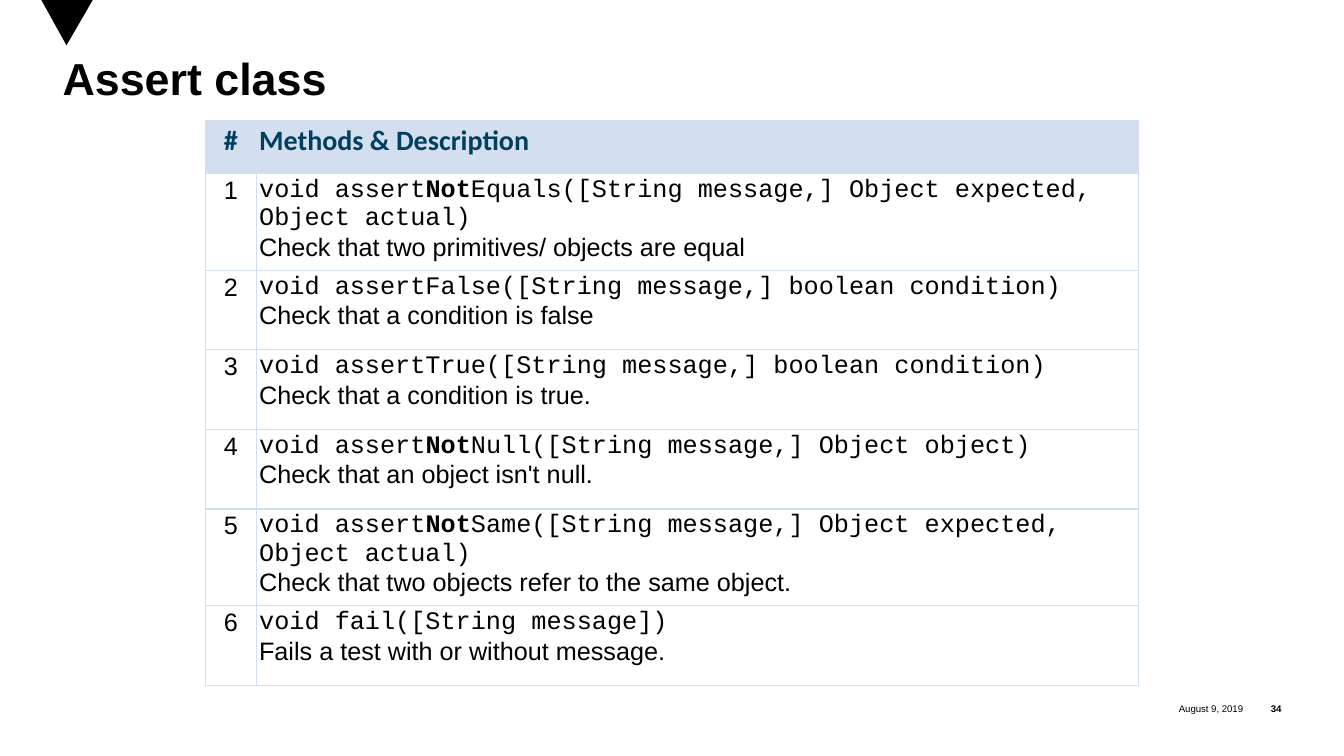
import lxml.etree
import pptx
import pptx.dml.color
import pptx.enum.text
import pptx.oxml.ns
import pptx.util

Inches = pptx.util.Inches
Align = pptx.enum.text.PP_ALIGN
Anchor = pptx.enum.text.MSO_ANCHOR

THEME = {
    "black": "000000", "navy": "003F60", "pale": "D3DFEE",
    "body": "Arial", "heading": "Calibri", "code": "Courier New",
    "title_size": 32, "heading_size": 20, "body_size": 18, "footer_size": 6.9,
}


def rgb(name):
    return pptx.dml.color.RGBColor.from_string(THEME[name])


def write(paragraph, text, font="body", size="body_size", color="black", bold=False, align=Align.LEFT):
    paragraph.alignment = align
    run = paragraph.add_run()
    run.text = text
    run.font.name = THEME[font]
    run.font.size = pptx.util.Pt(THEME[size])
    run.font.color.rgb = rgb(color)
    run.font.bold = bold


deck = pptx.Presentation()
deck.slide_width, deck.slide_height = Inches(13.33), Inches(7.5)
slide = deck.slides.add_slide(deck.slide_layouts[5])

outline = slide.shapes.build_freeform(Inches(0.41), 0)
outline.add_line_segments([(Inches(0.66), Inches(0.45)), (Inches(0.92), 0)], close=True)
marker = outline.convert_to_shape()
marker.shadow.inherit = False
marker.fill.solid()
marker.fill.fore_color.rgb = rgb("black")
marker.line.fill.background()

title = slide.shapes.title
title.left, title.top, title.width, title.height = map(Inches, (0.62, 0.58, 12.08, 1.29))
heading = title.text_frame
heading.margin_left = heading.margin_right = heading.margin_top = heading.margin_bottom = 0
heading.vertical_anchor = Anchor.TOP
heading.auto_size = pptx.enum.text.MSO_AUTO_SIZE.NONE
heading.paragraphs[0].line_spacing = 0.85
write(heading.paragraphs[0], "Assert class", size="title_size", bold=True)

for left, width, text, bold in [(10.84, 1.49, "August 9, 2019", False), (12.33, 0.38, "34", True)]:
    footer = slide.shapes.add_textbox(Inches(left), Inches(6.91), Inches(width), Inches(0.25)).text_frame
    footer.margin_left = footer.margin_right = footer.margin_top = footer.margin_bottom = 0
    footer.word_wrap = True
    footer.vertical_anchor = Anchor.MIDDLE
    write(footer.paragraphs[0], text, size="footer_size", bold=bold, align=Align.RIGHT)

methods = [
    ("void assertNotEquals([String message,] Object expected, Object actual)",
     "Check that two primitives/ objects are equal"),
    ("void assertFalse([String message,] boolean condition)", "Check that a condition is false"),
    ("void assertTrue([String message,] boolean condition)", "Check that a condition is true."),
    ("void assertNotNull([String message,] Object object)", "Check that an object isn't null."),
    ("void assertNotSame([String message,] Object expected, Object actual)",
     "Check that two objects refer to the same object."),
    ("void fail([String message])", "Fails a test with or without message."),
]

method_table = slide.shapes.add_table(
    len(methods) + 1, 2, Inches(2.04), Inches(1.2), Inches(9.25), Inches(5.26)).table
method_table.first_row = method_table.horz_banding = False
method_table.columns[0].width, method_table.columns[1].width = Inches(0.5), Inches(8.75)
for index, row in enumerate(method_table.rows):
    row.height = Inches(0.79 if index else 0.52)
    for cell in row.cells:
        cell.margin_left = cell.margin_right = cell.margin_top = cell.margin_bottom = Inches(0.03)
        if index:
            cell.fill.background()
        else:
            cell.fill.solid()
            cell.fill.fore_color.rgb = rgb("pale")
        properties = cell._tc.get_or_add_tcPr()
        for position, side in enumerate(("lnL", "lnR", "lnT", "lnB")):
            border = lxml.etree.Element(pptx.oxml.ns.qn(f"a:{side}"), w=str(pptx.util.Pt(1)))
            paint = lxml.etree.SubElement(border, pptx.oxml.ns.qn("a:solidFill"))
            lxml.etree.SubElement(paint, pptx.oxml.ns.qn("a:srgbClr"), val=THEME["pale"])
            properties.insert(position, border)

header = {"font": "heading", "size": "heading_size", "color": "navy", "bold": True}
write(method_table.cell(0, 0).text_frame.paragraphs[0], "#", align=Align.CENTER, **header)
write(method_table.cell(0, 1).text_frame.paragraphs[0], "Methods & Description", **header)

for number, (signature, description) in enumerate(methods, 1):
    write(method_table.cell(number, 0).text_frame.paragraphs[0], str(number), align=Align.CENTER)
    entry = method_table.cell(number, 1).text_frame
    for part in filter(None, signature.partition("Not")):
        write(entry.paragraphs[0], part, font="code", bold=part == "Not")
    write(entry.add_paragraph(), description)

deck.save("out.pptx")
